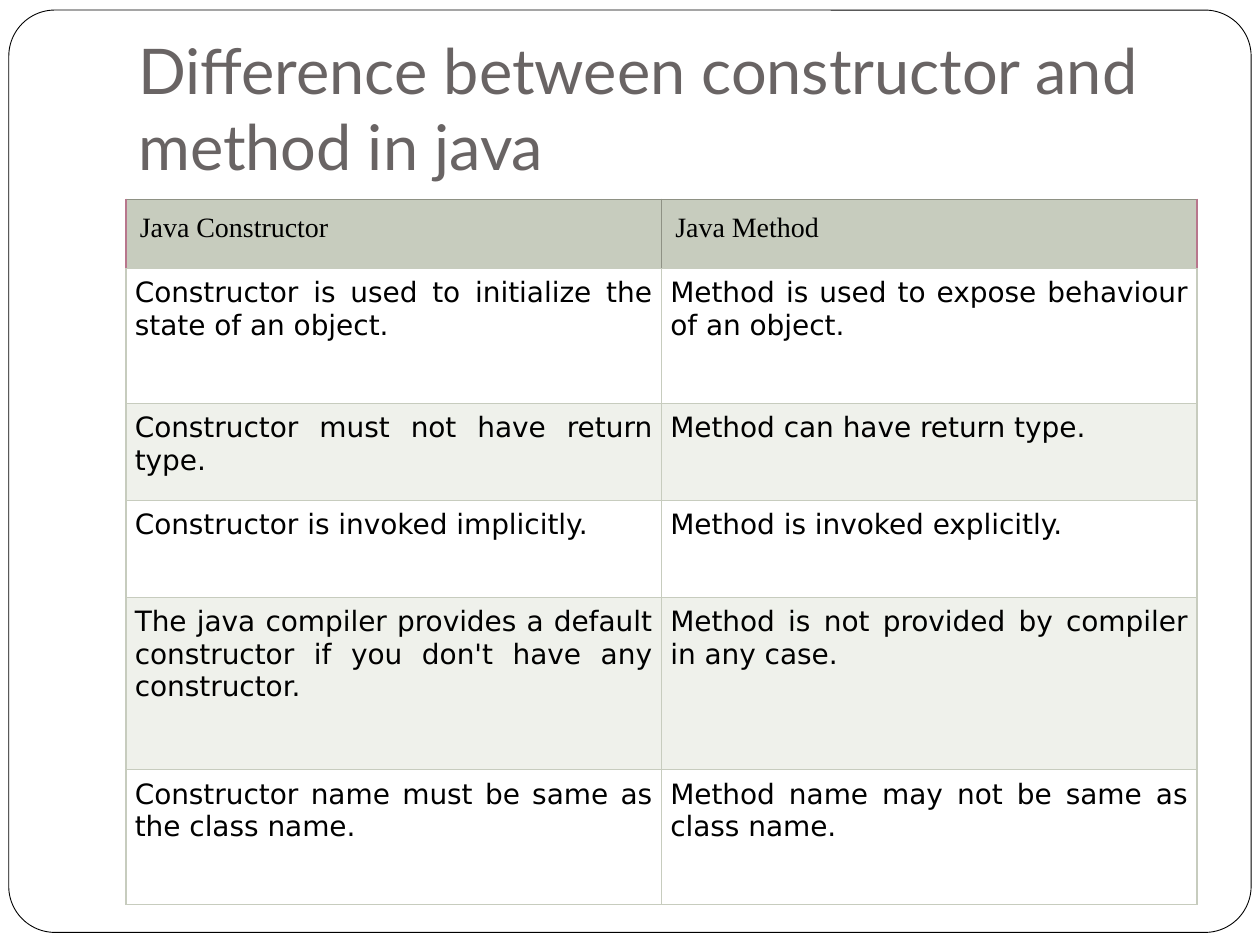
"""Build a slide with a table comparing Java constructors and methods."""
import pptx
import pptx.util
import pptx.dml.color
import pptx.enum.shapes
import pptx.enum.text
import pptx.oxml.ns
from lxml import etree

Inches, Pt = pptx.util.Inches, pptx.util.Pt
ALIGN = pptx.enum.text.PP_ALIGN

TITLE = "Difference between constructor and method in java"
ROWS = [
    ("Java Constructor", "Java Method"),
    ("Constructor is used to initialize the state of an object.",
     "Method is used to expose behaviour of an object."),
    ("Constructor must not have return type.", "Method can have return type."),
    ("Constructor is invoked implicitly.", "Method is invoked explicitly."),
    ("The java compiler provides a default constructor if you don't have any constructor.",
     "Method is not provided by compiler in any case."),
    ("Constructor name must be same as the class name.",
     "Method name may not be same as class name."),
]
ROW_HEIGHTS = [0.55, 1.07, 0.77, 0.77, 1.37, 1.07]
LEFT, WIDTH, TABLE_TOP = 1, 8.5, 1.58
COLORS = {
    "white": "FFFFFF", "black": "000000", "title": "696464", "sage": "C7CCBE",
    "band": "EFF1EB", "pink": "B8768C", "header_line": "8E9184",
}


def rgb(name):
    return pptx.dml.color.RGBColor.from_string(COLORS[name])


def write(tf, text, font, size, color="black", align=ALIGN.LEFT):
    p = tf.paragraphs[0]
    p.alignment = align
    r = p.add_run()
    r.text = text
    r.font.name, r.font.size = font, Pt(size)
    r.font.color.rgb = rgb(color)


def set_borders(cell, **sides):
    tc_pr = cell._tc.get_or_add_tcPr()
    for side in ("L", "R", "T", "B"):
        ln = etree.SubElement(tc_pr, pptx.oxml.ns.qn(f"a:ln{side}"), w=str(Pt(0.75)))
        fill = etree.SubElement(ln, pptx.oxml.ns.qn("a:solidFill"))
        etree.SubElement(fill, pptx.oxml.ns.qn("a:srgbClr"), val=COLORS[sides.get(side, "sage")])


def add_frame(s):
    sp = s.shapes.add_shape(pptx.enum.shapes.MSO_SHAPE.ROUNDED_RECTANGLE,
                            Inches(0.07), Inches(0.08), Inches(9.86), Inches(7.32))
    sp.adjustments[0] = 0.05
    sp.shadow.inherit = False
    sp.fill.solid()
    sp.fill.fore_color.rgb = rgb("white")
    sp.line.color.rgb = rgb("black")
    sp.line.width = Pt(0.5)


def add_title(s):
    tf = s.shapes.add_textbox(Inches(LEFT), Inches(0.3), Inches(WIDTH), Inches(1.25)).text_frame
    tf.word_wrap = True
    tf.vertical_anchor = pptx.enum.text.MSO_ANCHOR.BOTTOM
    tf.margin_bottom = Inches(0.1)
    write(tf, TITLE, "Lato", 36, "title")


def add_comparison(s):
    columns = len(ROWS[0])
    table = s.shapes.add_table(len(ROWS), columns, Inches(LEFT), Inches(TABLE_TOP),
                               Inches(WIDTH), Inches(sum(ROW_HEIGHTS))).table
    for column in table.columns:
        column.width = Inches(WIDTH / columns)
    for i, (texts, height) in enumerate(zip(ROWS, ROW_HEIGHTS)):
        table.rows[i].height = Inches(height)
        header = i == 0
        fill = "sage" if header else "white" if i % 2 else "band"
        for j, text in enumerate(texts):
            cell = table.cell(i, j)
            margin = Inches(0.11 if header else 0.07)
            cell.margin_left = cell.margin_right = margin
            cell.margin_top = cell.margin_bottom = margin
            if header:
                set_borders(cell, T="header_line",
                            L="pink" if j == 0 else "header_line",
                            R="pink" if j == columns - 1 else "header_line")
                write(cell.text_frame, text, "Times New Roman", 16)
            else:
                set_borders(cell)
                write(cell.text_frame, text, "DejaVu Sans", 16, align=ALIGN.JUSTIFY)
            cell.fill.solid()
            cell.fill.fore_color.rgb = rgb(fill)


def main():
    prs = pptx.Presentation()
    prs.slide_width, prs.slide_height = Inches(10), Inches(7.5)
    s = prs.slides.add_slide(prs.slide_layouts[6])
    add_frame(s)
    add_title(s)
    add_comparison(s)
    prs.save("out.pptx")


if __name__ == "__main__":
    main()
